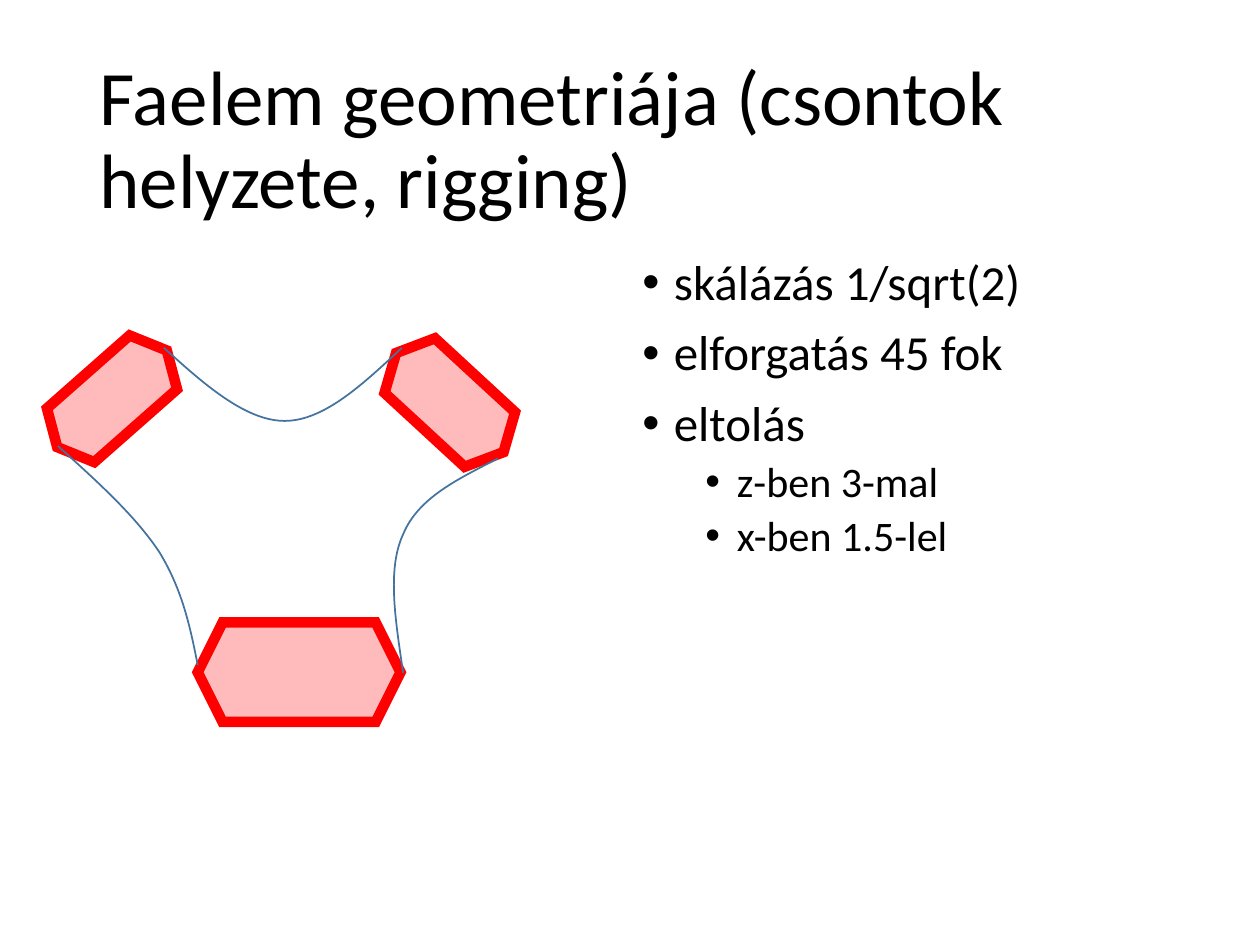
from lxml import etree
from pptx import Presentation, util as u
from pptx.dml.color import RGBColor
from pptx.enum import shapes, text
from pptx.oxml.ns import qn

Pt = u.Pt
THEME = {
    "font": "Calibri", "ink": "000000", "title": 44, "body": (28, 24),
    "bone_fill": "FF3131", "bone_alpha": 33, "bone_line": "FF0000", "bone_width": 6,
    "curve": "43739E", "curve_width": 1,
}
TITLE = "Faelem geometriája (csontok helyzete, rigging)"
TITLE_BOX = (49.7, 28.8, 620.6, 104.4)
BODY_BOX = (360, 144, 310.3, 391)
BULLETS = [
    (0, "skálázás 1/sqrt(2)"),
    (0, "elforgatás 45 fok"),
    (0, "eltolás"),
    (1, "z-ben 3-mal"),
    (1, "x-ben 1.5-lel"),
]
LEVELS = [{"indent": 18, "before": 10}, {"indent": 54, "before": 5}]
BONES = [
    ((113, 355.7, 115.9, 56.9), 0),
    ((22.3, 207.4, 83.5, 41), 318.6),
    ((215.3, 208.8, 83.5, 42.5), 42.7),
]
SKIN_CURVES = [
    [(113, 380.2), (108.7, 358.6), (104.4, 337.7), (91.4, 316.1),
     (77.8, 295.2), (55.4, 275), (33.1, 254.9)],
    [(230.4, 384.5), (226.1, 355), (221, 325.4), (230.4, 305.3),
     (239, 284.4), (262.1, 273.6), (284.4, 262.1)],
    [(93.6, 198.7), (116.6, 219.6), (140.4, 240.5), (162.7, 240.5),
     (185, 240.5), (207.4, 219.6), (229.7, 198.7)],
]


def rgb(name):
    return RGBColor.from_string(THEME[name])


def apply(obj, values):
    for name, value in values.items():
        setattr(obj, name, value)


def place(sp, box):
    apply(sp, dict(zip(("left", "top", "width", "height"), map(Pt, box))))


def write(p, words, size, **layout):
    r = p.add_run()
    r.text = words
    apply(r.font, {"name": THEME["font"], "size": Pt(size), "bold": False})
    r.font.color.rgb = rgb("ink")
    apply(p, {"line_spacing": 0.9, "alignment": text.PP_ALIGN.LEFT, **layout})


def add_title(s):
    sp = s.shapes.title
    place(sp, TITLE_BOX)
    tf = sp.text_frame
    apply(tf, {"word_wrap": True, "auto_size": text.MSO_AUTO_SIZE.NONE,
               "vertical_anchor": text.MSO_ANCHOR.MIDDLE})
    write(tf.paragraphs[0], TITLE, THEME["title"])


def add_bullets(s):
    tf = s.shapes.add_textbox(*map(Pt, BODY_BOX)).text_frame
    tf.word_wrap = True
    for i, (level, words) in enumerate(BULLETS):
        p = tf.add_paragraph() if i else tf.paragraphs[0]
        style = LEVELS[level]
        pPr = p._p.get_or_add_pPr()
        pPr.set("marL", str(Pt(style["indent"])))
        pPr.set("indent", str(-Pt(18)))
        etree.SubElement(pPr, qn("a:buFont")).set("typeface", "Arial")
        etree.SubElement(pPr, qn("a:buChar")).set("char", "•")
        write(p, words, THEME["body"][level], level=level,
              space_before=Pt(style["before"] if i else 0))


def outline(sp, color, width):
    sp.shadow.inherit = False
    sp.line.color.rgb = rgb(color)
    sp.line.width = Pt(THEME[width])
    etree.SubElement(sp.line._get_or_add_ln(), qn("a:miter")).set("lim", "800000")


def add_bone(s, box, angle):
    sp = s.shapes.add_shape(shapes.MSO_SHAPE.HEXAGON, *map(Pt, box))
    sp.rotation = angle
    sp.fill.solid()
    sp.fill.fore_color.rgb = rgb("bone_fill")
    color = sp._element.spPr.find(qn("a:solidFill"))[0]
    etree.SubElement(color, qn("a:alpha")).set("val", str(THEME["bone_alpha"] * 1000))
    outline(sp, "bone_line", "bone_width")


def add_curve(s, points):
    start, *rest = [(Pt(x), Pt(y)) for x, y in points]
    builder = s.shapes.build_freeform(*start)
    builder.add_line_segments(rest, close=False)
    sp = builder.convert_to_shape()
    sp.fill.background()
    outline(sp, "curve", "curve_width")
    geometry = next(sp._element.iter(qn("a:path")))
    lines = geometry.findall(qn("a:lnTo"))
    for i in range(0, len(lines), 3):
        bezier = etree.SubElement(geometry, qn("a:cubicBezTo"))
        for line in lines[i:i + 3]:
            bezier.append(line[0])
            geometry.remove(line)


def main():
    prs = Presentation()
    apply(prs, {"slide_width": Pt(720), "slide_height": Pt(540)})
    s = prs.slides.add_slide(prs.slide_layouts[5])
    add_title(s)
    add_bullets(s)
    for box, angle in BONES:
        add_bone(s, box, angle)
    for points in SKIN_CURVES:
        add_curve(s, points)
    prs.save("out.pptx")


if __name__ == "__main__":
    main()
